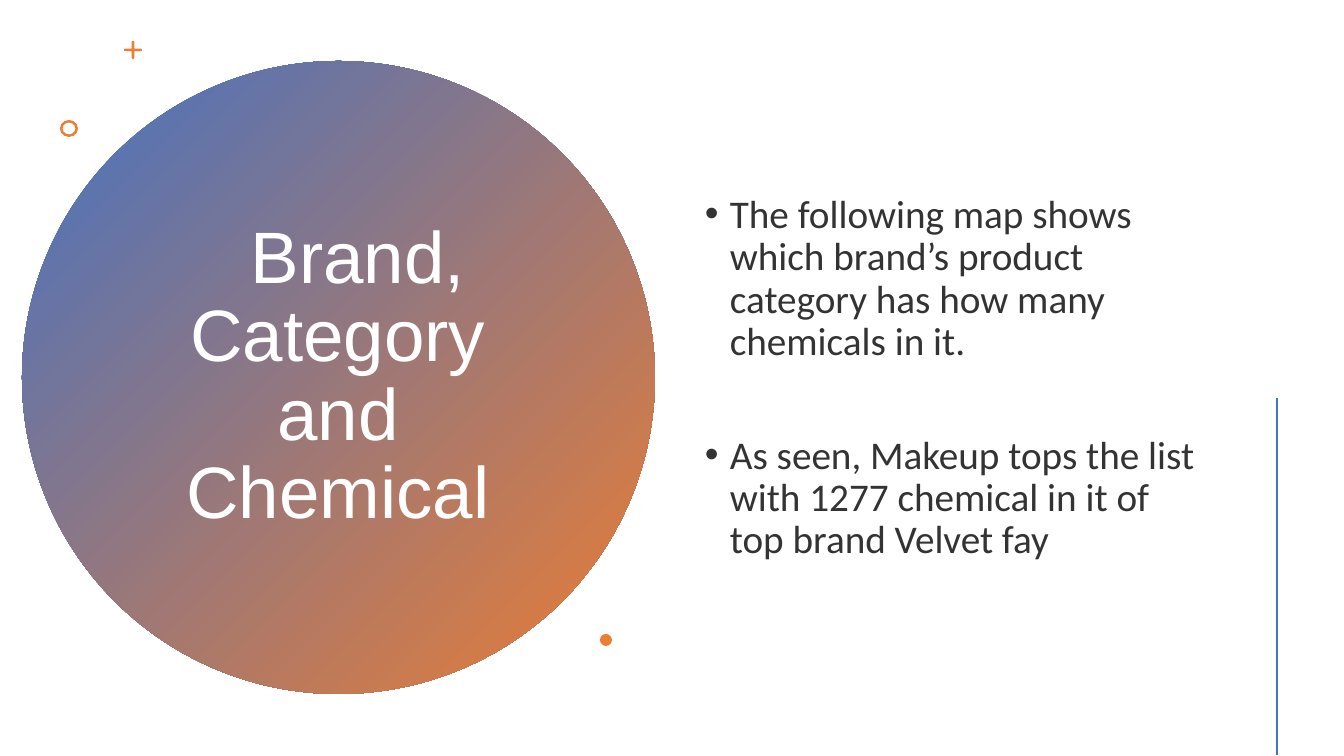
from dataclasses import dataclass
from math import cos, pi, sin
from typing import Any

from lxml.etree import SubElement
from pptx import Presentation
from pptx.dml.color import RGBColor
from pptx.enum.shapes import MSO_CONNECTOR, MSO_SHAPE
from pptx.enum.text import MSO_ANCHOR, PP_ALIGN
from pptx.oxml.ns import qn
from pptx.util import Emu, Pt

BLUE = RGBColor(0x44, 0x72, 0xC4)
ORANGE = RGBColor(0xED, 0x7D, 0x31)
WHITE = RGBColor(0xFF, 0xFF, 0xFF)
CHARCOAL = RGBColor(0x33, 0x33, 0x33)

EMU_PER_PX = 914400 / 100.8


def px(n: float) -> Emu:
    """Turn pixels into EMU."""
    return Emu(round(n * EMU_PER_PX))


@dataclass(frozen=True)
class Box:
    """Place and size in pixels."""
    left: int
    top: int
    width: int
    height: int

    def emu(self) -> tuple[Emu, ...]:
        """Give the four lengths in EMU."""
        return tuple(map(px, (self.left, self.top, self.width, self.height)))


@dataclass(frozen=True)
class Accent:
    """A preset shape filled with one colour."""
    kind: MSO_SHAPE
    box: Box
    adjustments: tuple[float, ...] = ()


@dataclass(frozen=True)
class Para:
    """A paragraph: left margin and first-line indent are in pixels."""
    text: str
    left: int
    indent: int
    before: int
    bullet: str = ""


@dataclass(frozen=True)
class TextBlock:
    """A text box, its paragraphs and their format."""
    box: Box
    paras: tuple[Para, ...]
    align: PP_ALIGN
    font: dict[str, Any]
    color: RGBColor


ACCENTS = (
    Accent(MSO_SHAPE.DONUT, Box(60, 120, 18, 17), (0.15,)),
    Accent(MSO_SHAPE.OVAL, Box(600, 634, 12, 12)),
)
TITLE = TextBlock(
    Box(137, 142, 402, 471),
    (Para("Brand, Category and Chemical", 0, 40, 0),),
    PP_ALIGN.CENTER, {"name": "Arial", "size": Pt(52)}, WHITE)
BODY = TextBlock(
    Box(695, 57, 526, 643),
    (Para("The following map shows which brand’s product category "
          "has how many chemicals in it.", 25, -25, 10, "•"),
     Para("As seen, Makeup tops the list with 1277 chemical in it of "
          "top brand Velvet fay", 25, -25, 51, "•")),
    PP_ALIGN.LEFT, {"name": "Calibri", "size": Pt(28)}, CHARCOAL)


def set_all(target: Any, values: dict[str, Any]) -> None:
    """Set each named attribute on the target."""
    for name, value in values.items():
        setattr(target, name, value)


def plain(sp: Any) -> None:
    """Take away the line and the shadow of a shape."""
    sp.shadow.inherit = False
    sp.line.fill.background()


def add_disc(s: Any, box: Box) -> None:
    """Draw the large circle with a diagonal gradient."""
    sp = s.shapes.add_shape(MSO_SHAPE.OVAL, *box.emu())
    plain(sp)
    sp.fill.gradient()
    sp.fill.gradient_angle = 315
    for stop, color in zip(sp.fill.gradient_stops, (BLUE, ORANGE)):
        stop.color.rgb = color


def fill_accent(sp: Any) -> None:
    """Give a small ornament its solid colour."""
    plain(sp)
    sp.fill.solid()
    sp.fill.fore_color.rgb = ORANGE


def add_accent(s: Any, accent: Accent) -> None:
    """Draw a small preset ornament."""
    sp = s.shapes.add_shape(accent.kind, *accent.box.emu())
    for i, value in enumerate(accent.adjustments):
        sp.adjustments[i] = value
    fill_accent(sp)


def add_plus(s: Any, x: int, y: int, reach: int, half: float) -> None:
    """Draw a plus sign whose four arms have round ends."""
    steps = 8
    points = []
    for arm in range(4):
        a = arm * pi / 2
        for i in range(steps + 1):
            b = a - pi / 2 + i * pi / steps
            points.append((px(x + (reach - half) * cos(a) + half * cos(b)),
                           px(y + (reach - half) * sin(a) + half * sin(b))))
        inner = a + pi / 4
        points.append((px(x + half * 2 ** 0.5 * cos(inner)),
                       px(y + half * 2 ** 0.5 * sin(inner))))
    builder = s.shapes.build_freeform(*points[0])
    builder.add_line_segments(points[1:], close=True)
    fill_accent(builder.convert_to_shape())


def add_text(s: Any, block: TextBlock) -> None:
    """Write a block of text, centred vertically in its box."""
    tf = s.shapes.add_textbox(*block.box.emu()).text_frame
    set_all(tf, {"word_wrap": True, "vertical_anchor": MSO_ANCHOR.MIDDLE})
    for i, para in enumerate(block.paras):
        p = tf.add_paragraph() if i else tf.paragraphs[0]
        set_all(p, {"alignment": block.align, "line_spacing": 0.9,
                    "space_before": Pt(para.before)})
        pPr = p._p.get_or_add_pPr()
        pPr.set("marL", str(px(para.left)))
        pPr.set("indent", str(px(para.indent)))
        if para.bullet:
            SubElement(pPr, qn("a:buFont")).set("typeface", "Arial")
            SubElement(pPr, qn("a:buChar")).set("char", para.bullet)
        r = p.add_run()
        r.text = para.text
        set_all(r.font, block.font)
        r.font.color.rgb = block.color


def add_rule(s: Any, x: int, top: int, bottom: int) -> None:
    """Draw the upright line at the right edge."""
    sp = s.shapes.add_connector(
        MSO_CONNECTOR.STRAIGHT, px(x), px(top), px(x), px(bottom))
    sp.line.color.rgb = BLUE
    sp.line.width = Pt(2)
    SubElement(sp._element.spPr, qn("a:effectLst"))


def main() -> None:
    """Build the slide and save it."""
    prs = Presentation()
    set_all(prs, {"slide_width": px(1344), "slide_height": px(756)})
    s = prs.slides.add_slide(prs.slide_layouts[6])
    add_disc(s, Box(22, 61, 633, 633))
    add_text(s, TITLE)
    add_plus(s, x=133, y=50, reach=9, half=1.3)
    for accent in ACCENTS:
        add_accent(s, accent)
    add_text(s, BODY)
    add_rule(s, x=1277, top=398, bottom=755)
    prs.save("out.pptx")


main()
